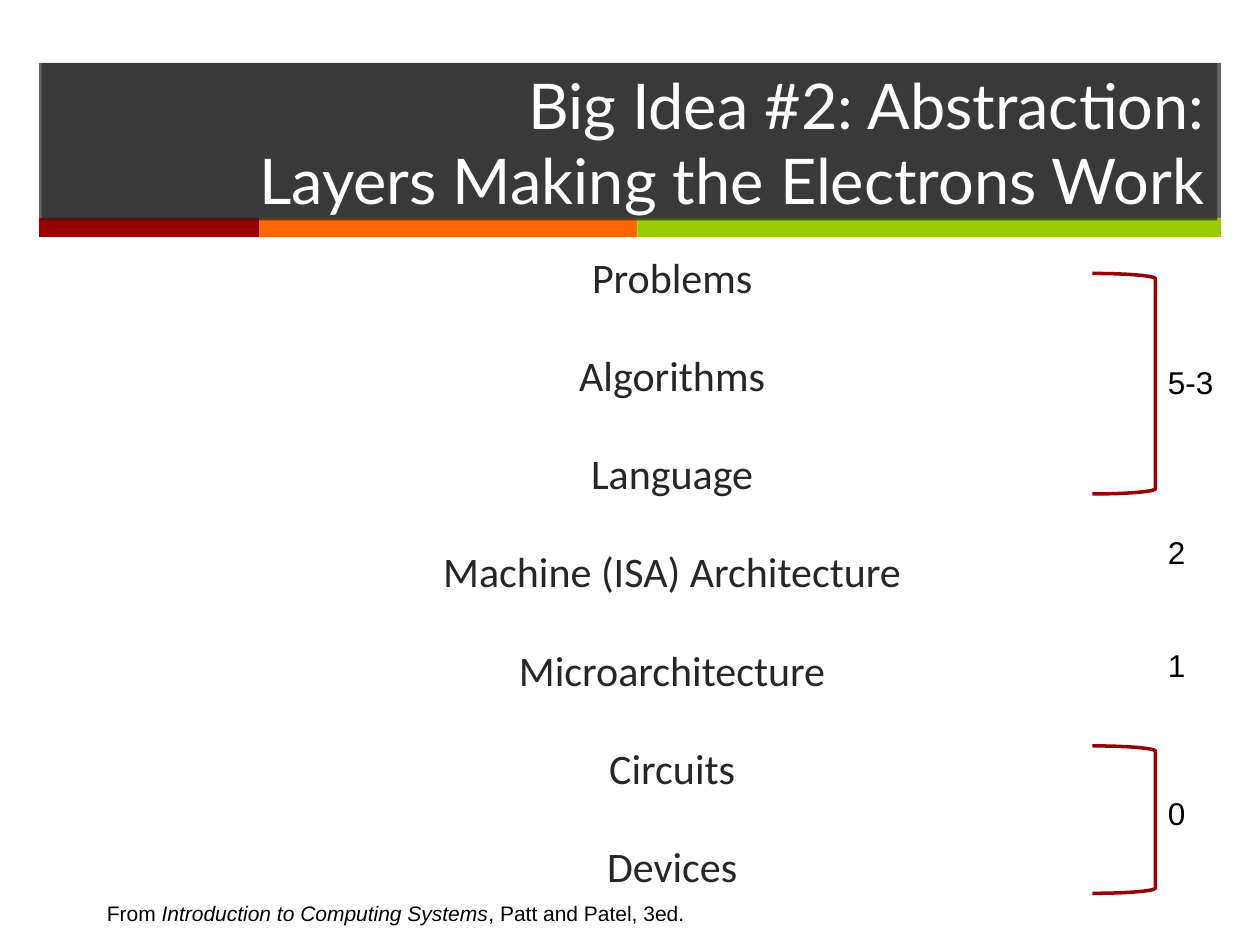
from pptx import Presentation
from pptx.dml.color import RGBColor
from pptx.enum.shapes import MSO_SHAPE
from pptx.enum.text import MSO_ANCHOR, MSO_AUTO_SIZE, PP_ALIGN
from pptx.oxml.ns import qn
from pptx.util import Inches, Pt
from lxml.etree import SubElement

CHARCOAL = RGBColor(0x26, 0x26, 0x26)
RED = RGBColor(0x99, 0x00, 0x00)
ORANGE = RGBColor(0xFF, 0x66, 0x00)
GREEN = RGBColor(0x99, 0xCC, 0x00)
WHITE = RGBColor(0xFF, 0xFF, 0xFF)
BLACK = RGBColor(0x00, 0x00, 0x00)

deck = Presentation()
deck.slide_width, deck.slide_height = Inches(10), Inches(7.5)
page = deck.slides.add_slide(deck.slide_layouts[5])


def fill_solid(shape, color, opacity=100):
    shape.fill.solid()
    shape.fill.fore_color.rgb = color
    if opacity < 100:
        tint = shape.fill._xPr.find(qn("a:solidFill"))[0]
        SubElement(tint, qn("a:alpha")).set("val", str(opacity * 1000))


def add_text(left, top, width, height, lines, font_name, size, color, wrap=True):
    box = page.shapes.add_textbox(Inches(left), Inches(top), Inches(width), Inches(height))
    frame = box.text_frame
    frame.word_wrap = wrap
    frame.text = "\n".join(lines)
    for para in frame.paragraphs:
        para.font.name = font_name
        para.font.size = Pt(size)
        para.font.color.rgb = color
    return frame


margin = 0.31
bands = [(margin, 0.5, 9.38, 1.24, CHARCOAL, 70)]
left = margin
for width, color in [(1.75, RED), (3, ORANGE), (4.63, GREEN)]:
    bands.append((left, 1.73, width, 0.15, color, 100))
    left += width
for left, top, width, height, color, opacity in bands:
    band = page.shapes.add_shape(
        MSO_SHAPE.RECTANGLE, Inches(left), Inches(top), Inches(width), Inches(height))
    band.shadow.inherit = False
    band.line.fill.background()
    fill_solid(band, color, opacity)

title = page.shapes.title
title.left, title.top, title.width, title.height = (
    Inches(0.33), Inches(0.5), Inches(9.33), Inches(1.25))
fill_solid(title, CHARCOAL, 70)
title.text_frame.text = "Big Idea #2: Abstraction:\vLayers Making the Electrons Work"
title.text_frame.vertical_anchor = MSO_ANCHOR.MIDDLE
title.text_frame.auto_size = MSO_AUTO_SIZE.NONE
para = title.text_frame.paragraphs[0]
para.alignment = PP_ALIGN.RIGHT
para.font.name = "Lato"
para.font.size = Pt(36)
para.font.color.rgb = WHITE
page.shapes._spTree.append(title._element)

layers = ["Problems", "Algorithms", "Language", "Machine (ISA) Architecture",
          "Microarchitecture", "Circuits", "Devices"]
for para in add_text(1.17, 1.85, 8.33, 5.48, layers, "Calibri", 24, CHARCOAL).paragraphs:
    para.alignment = PP_ALIGN.CENTER
    para.line_spacing = 1.25
    para.space_before = Pt(20)

source = add_text(0.75, 7.1, 8.67, 0.3, ["From "], "Arial", 12, BLACK).paragraphs[0]
span = source.add_run()
span.text = "Introduction to Computing Systems"
span.font.italic = True
source.add_run().text = ", Patt and Patel, 3ed."

bracket_right = 9.17
for label, top, width in [("5-3", 2.83, 0.57), ("2", 4.18, 0.34),
                          ("1", 5.08, 0.34), ("0", 6.25, 0.34)]:
    add_text(bracket_right, top, width, 0.4, [label], "Arial", 18, BLACK, wrap=False)

for top, height in [(2.17, 1.75), (5.92, 1.17)]:
    bracket = page.shapes.add_shape(
        MSO_SHAPE.RIGHT_BRACKET, Inches(bracket_right - 0.5), Inches(top),
        Inches(0.5), Inches(height))
    bracket.shadow.inherit = False
    bracket.fill.background()
    bracket.line.color.rgb = RED
    bracket.line.width = Pt(2)

deck.save("out.pptx")
